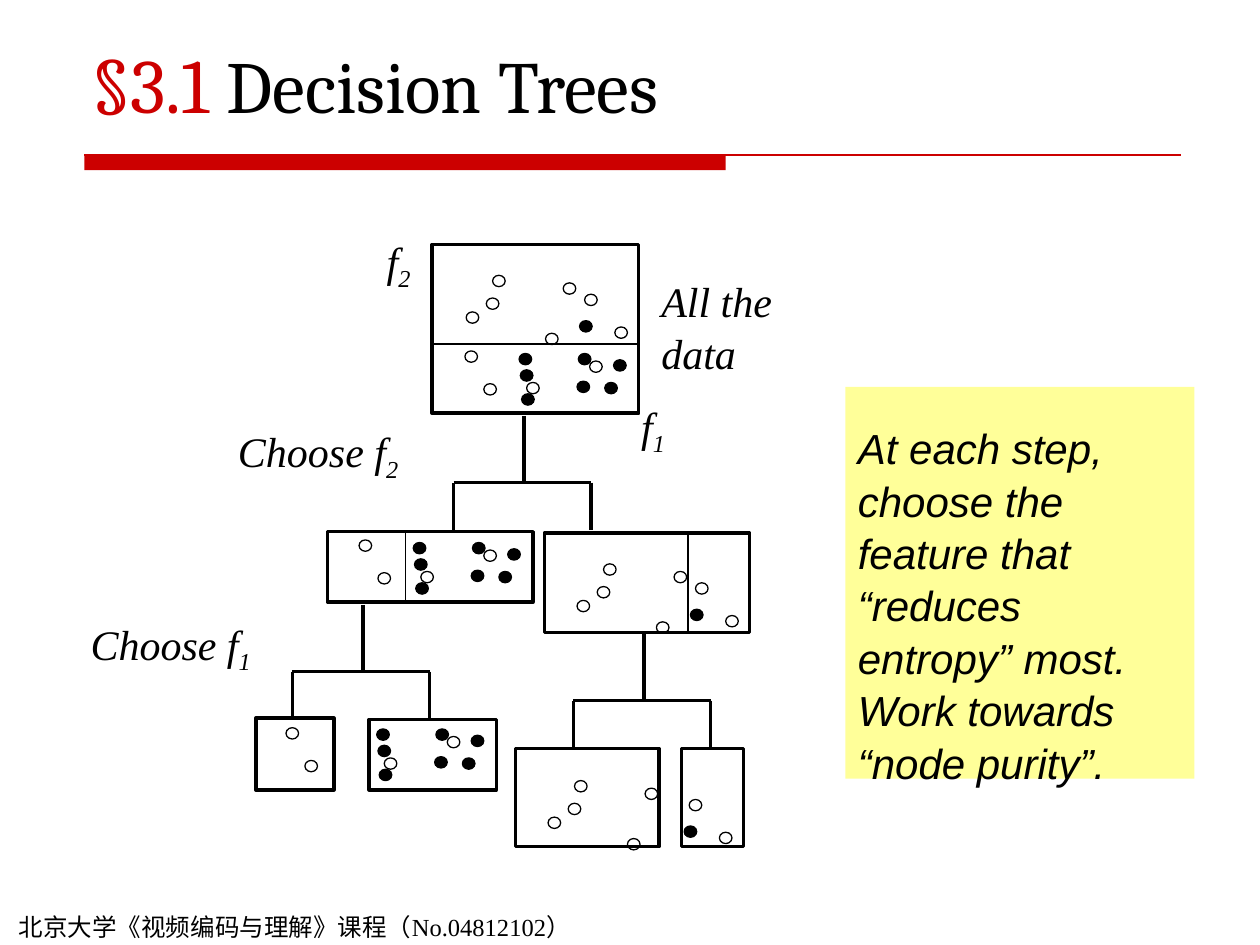
import pptx
import pptx.dml.color
import pptx.enum.shapes
import pptx.enum.text
import pptx.oxml.ns
import pptx.util
from lxml import etree
from pptx.util import Inches

RED = pptx.dml.color.RGBColor(0xCC, 0x00, 0x00)
BLACK = pptx.dml.color.RGBColor(0x00, 0x00, 0x00)
YELLOW = pptx.dml.color.RGBColor(0xFF, 0xFF, 0x99)
SERIF = "Times New Roman"
THIN, THICK = 0.75, 2
DOT_WIDTH, DOT_HEIGHT = 0.1, 0.09

# Data points by quadrant of the root node: (centre x, centre y, filled)
UPPER_LEFT = [(4.52, 2.29, False), (3.91, 2.41, False), (3.96, 2.23, False),
              (4.38, 2.69, False), (3.75, 2.52, False)]
UPPER_RIGHT = [(4.69, 2.38, False), (4.93, 2.64, False), (4.65, 2.59, True)]
LOWER_LEFT = [(3.74, 2.83, False), (3.89, 3.09, False)]
LOWER_RIGHT = [(4.73, 2.91, False), (4.23, 3.08, False), (4.64, 2.85, True),
               (4.63, 3.07, True), (4.17, 2.85, True), (4.18, 2.98, True),
               (4.85, 3.08, True), (4.92, 2.9, True), (4.19, 3.17, True)]

# Each node: frame, inner compartments, points, shift of the points from the root
NODES = [
    ((3.43, 1.94, 1.64, 1.34),
     [(3.44, 1.94, 1.63, 0.79), (3.44, 2.73, 1.63, 0.56)],
     UPPER_LEFT + UPPER_RIGHT + LOWER_LEFT + LOWER_RIGHT, (0, 0)),
    ((2.6, 4.22, 1.63, 0.56),
     [(2.6, 4.22, 0.62, 0.56), (3.22, 4.22, 1.01, 0.56)],
     LOWER_LEFT + LOWER_RIGHT, (-0.84, 1.5)),
    ((4.32, 4.23, 1.63, 0.79),
     [(4.32, 4.23, 1.14, 0.78), (5.46, 4.23, 0.49, 0.78)],
     UPPER_LEFT + UPPER_RIGHT, (0.88, 2.29)),
    ((2.03, 5.7, 0.62, 0.57), [], LOWER_LEFT, (-1.42, 2.99)),
    ((2.93, 5.71, 1.01, 0.56), [], LOWER_RIGHT, (-1.13, 2.98)),
    ((4.09, 5.94, 1.14, 0.78), [], UPPER_LEFT, (0.65, 4.01)),
    ((5.41, 5.94, 0.49, 0.78), [], UPPER_RIGHT, (0.83, 4.01)),
]
BRANCHES = [(4.16, 3.3), (5.11, 5.03), (2.88, 4.8)]
LABELS = [("All the data", None, (5.15, 2.12, 1.72, 0.9)),
          ("f", "1", (4.99, 3.11, 0.58, 0.56)),
          ("f", "2", (2.97, 1.8, 0.58, 0.56)),
          ("Choose f", "2", (1.79, 3.31, 1.65, 0.56)),
          ("Choose f", "1", (0.62, 4.84, 1.65, 0.56))]


def add_span(para, text, size=24, font=SERIF, color=BLACK, italic=False, subscript=False):
    span = para.add_run()
    span.text = text
    span.font.size = pptx.util.Pt(size)
    span.font.name = font
    span.font.italic = italic
    span.font.color.rgb = color
    if subscript:
        span._r.get_or_add_rPr().set("baseline", "-25000")


def add_text_box(slide, place, line_spacing=1.04):
    """Add a wrapping text box and return its first paragraph."""
    box = slide.shapes.add_textbox(*map(Inches, place))
    box.text_frame.word_wrap = True
    para = box.text_frame.paragraphs[0]
    para.line_spacing = line_spacing
    return para


def add_preset(slide, kind, place, fill=None, line_width=None):
    shape = slide.shapes.add_shape(kind, *map(Inches, place))
    shape.shadow.inherit = False
    if fill is None:
        shape.fill.background()
    else:
        shape.fill.solid()
        shape.fill.fore_color.rgb = fill
    if line_width is None:
        shape.line.fill.background()
    else:
        shape.line.color.rgb = BLACK
        shape.line.width = pptx.util.Pt(line_width)


def add_line(slide, start, end, color=BLACK, width=THICK):
    line = slide.shapes.add_connector(
        pptx.enum.shapes.MSO_CONNECTOR.STRAIGHT, *map(Inches, start + end))
    line.line.color.rgb = color
    line.line.width = pptx.util.Pt(width)
    etree.SubElement(line._element.spPr, pptx.oxml.ns.qn("a:effectLst"))


def add_node(slide, frame, compartments, points, shift):
    rectangle = pptx.enum.shapes.MSO_SHAPE.RECTANGLE
    for place in compartments:
        add_preset(slide, rectangle, place, line_width=THIN)
    add_preset(slide, rectangle, frame, line_width=THICK)
    for x, y, filled in points:
        place = (x + shift[0] - DOT_WIDTH / 2, y + shift[1] - DOT_HEIGHT / 2,
                 DOT_WIDTH, DOT_HEIGHT)
        add_preset(slide, pptx.enum.shapes.MSO_SHAPE.OVAL, place,
                   fill=BLACK if filled else None, line_width=THIN)


def add_branch(slide, x, top):
    """Draw a stem that forks to two child nodes."""
    fork = top + 0.53
    left, right = x - 0.56, x + 0.53
    add_line(slide, (x, top), (x, fork))
    add_line(slide, (left, fork), (right, fork))
    for end in (left, right):
        add_line(slide, (end, fork), (end, fork + 0.38))


def add_title(slide):
    title = slide.shapes.title
    title.left, title.top, title.width, title.height = map(Inches, (0.63, 0.33, 8.75, 0.74))
    frame = title.text_frame
    frame.auto_size = pptx.enum.text.MSO_AUTO_SIZE.NONE
    frame.vertical_anchor = pptx.enum.text.MSO_ANCHOR.BOTTOM
    para = frame.paragraphs[0]
    para.alignment = pptx.enum.text.PP_ALIGN.LEFT
    add_span(para, "§3.1 ", size=44, font="Cambria", color=RED)
    add_span(para, "Decision Trees", size=42, font="Cambria")


def add_note(slide):
    add_preset(slide, pptx.enum.shapes.MSO_SHAPE.RECTANGLE, (6.71, 3.07, 2.77, 3.11), fill=YELLOW)
    add_span(add_text_box(slide, (6.71, 3.29, 2.75, 2.9)),
             "At each step, choose the feature that “reduces entropy” most. "
             "Work towards “node purity”.", font="Arial", italic=True)


def main():
    deck = pptx.Presentation()
    deck.slide_width, deck.slide_height = Inches(10), Inches(7.5)
    slide = deck.slides.add_slide(deck.slide_layouts[5])

    add_preset(slide, pptx.enum.shapes.MSO_SHAPE.RECTANGLE, (0.67, 1.23, 5.09, 0.12), fill=RED)
    add_line(slide, (0.67, 1.23), (9.37, 1.23), color=RED, width=THIN)
    add_span(add_text_box(slide, (0.05, 7.19, 4.95, 0.34), line_spacing=1),
             "北京大学《视频编码与理解》课程（No.04812102）", size=14)
    add_title(slide)
    add_note(slide)

    for node in NODES:
        add_node(slide, *node)
    for x, top in BRANCHES:
        add_branch(slide, x, top)
    for text, index, place in LABELS:
        para = add_text_box(slide, place)
        add_span(para, text, italic=True)
        if index:
            add_span(para, index, italic=True, subscript=True)

    deck.save("out.pptx")


if __name__ == "__main__":
    main()
